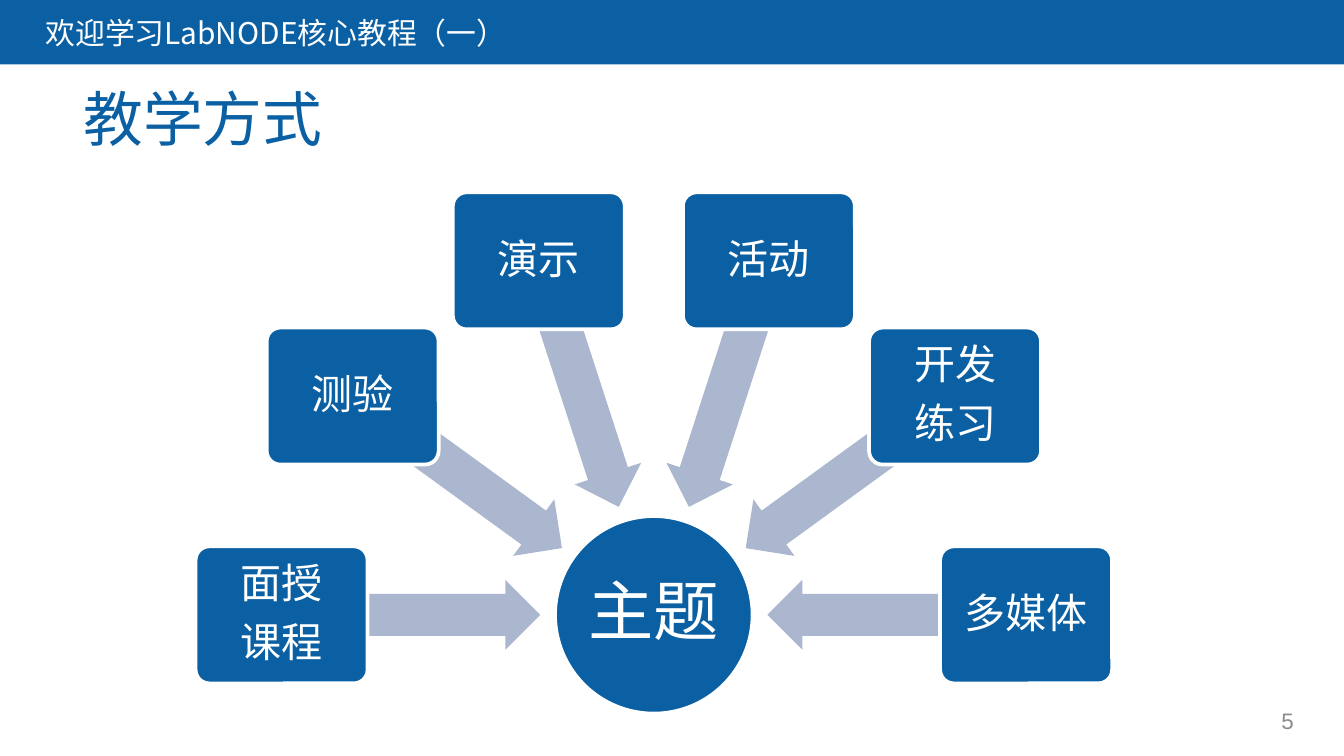
from math import cos, radians, sin

from lxml.etree import SubElement
from pptx import Presentation
from pptx.dml.color import RGBColor
from pptx.enum.shapes import MSO_SHAPE
from pptx.enum.text import MSO_ANCHOR, MSO_AUTO_SIZE, PP_ALIGN
from pptx.oxml.ns import qn
from pptx.util import Pt

BLUE = RGBColor(0x0A, 0x60, 0xA3)
PALE = RGBColor(0xAB, 0xB7, 0xCE)
GREY = RGBColor(0x8C, 0x8C, 0x8C)
WHITE = RGBColor(0xFF, 0xFF, 0xFF)
SANS = "Noto Sans CJK SC"
LATIN = "Arial"
SCALE = 4572
HUB = (973, 915)
STEP = 36
TOPICS = ["面授\n课程", "测验", "演示", "活动", "开发\n练习", "多媒体"]


def px(count):
    return round(count * SCALE)


def style(para, size, color, face=LATIN):
    for run in para.runs:
        run.font.size = Pt(size)
        run.font.color.rgb = color
        run.font.name = face
        SubElement(run.font._element, qn("a:ea"), typeface=SANS)


def inset(frame, side, top):
    frame.margin_left = frame.margin_right = px(side)
    frame.margin_top = frame.margin_bottom = px(top)


def pad_after(para, percent):
    para.space_after = Pt(0)
    after = para._p.get_or_add_pPr().find(qn("a:spcAft"))
    after.remove(after[0])
    SubElement(after, qn("a:spcPct"), val=str(percent * 1000))


def polar(radius, angle):
    turn = radians(angle)
    return HUB[0] + radius * cos(turn), HUB[1] + radius * sin(turn)


def add_form(shapes, kind, mid, size, fill, edge=False):
    (x, y), (wide, high) = mid, size
    form = shapes.add_shape(
        kind, px(x - wide / 2), px(y - high / 2), px(wide), px(high))
    form.shadow.inherit = False
    form.fill.solid()
    form.fill.fore_color.rgb = fill
    if edge:
        form.line.color.rgb = WHITE
        form.line.width = Pt(2)
    else:
        form.line.fill.background()
    return form


def add_node(shapes, kind, mid, size, text, points, gap):
    node = add_form(shapes, kind, mid, size, BLUE, True)
    frame = node.text_frame
    frame.word_wrap = True
    frame.vertical_anchor = MSO_ANCHOR.MIDDLE
    inset(frame, gap, gap)
    frame.text = text
    for para in frame.paragraphs:
        para.alignment = PP_ALIGN.CENTER
        para.line_spacing = 0.9
        pad_after(para, 35)
        style(para, points, WHITE)
    return node


def add_arrow(shapes, angle):
    arrow = add_form(
        shapes, MSO_SHAPE.LEFT_ARROW, polar(361, angle), (384, 104), PALE)
    arrow.adjustments[0] = 0.6
    arrow.adjustments[1] = 0.5
    arrow.rotation = angle % 360


def add_wheel(slide):
    shapes = slide.shapes.add_group_shape().shapes
    add_node(shapes, MSO_SHAPE.OVAL, HUB, (294, 294), "主题", 35, 4)
    for place, topic in enumerate(TOPICS):
        angle = 180 + STEP * place
        add_arrow(shapes, angle)
        box = add_node(shapes, MSO_SHAPE.ROUNDED_RECTANGLE,
                       polar(554, angle), (256, 204), topic, 22, 10)
        box.adjustments[0] = 0.1


def set_title(slide, text):
    title = slide.shapes.title
    title.left, title.top = px(104), px(112)
    title.width, title.height = px(1716), px(262)
    frame = title.text_frame
    frame.text = text
    frame.auto_size = MSO_AUTO_SIZE.NONE
    frame.vertical_anchor = MSO_ANCHOR.TOP
    inset(frame, 20, 10)
    para = frame.paragraphs[0]
    para.alignment = PP_ALIGN.LEFT
    para.space_before = Pt(5.7)
    style(para, 32, BLUE, SANS)


def add_label(slide, area, text, size, color, face):
    box = slide.shapes.add_textbox(*map(px, area))
    frame = box.text_frame
    frame.word_wrap = True
    inset(frame, 20, 10)
    frame.text = text
    style(frame.paragraphs[0], size, color, face)
    return frame


def main():
    deck = Presentation()
    deck.slide_width, deck.slide_height = px(2000), px(1125)
    slide = deck.slides.add_slide(deck.slide_layouts[5])
    add_form(slide.shapes, MSO_SHAPE.RECTANGLE, (1000, 48), (2000, 96), BLUE)
    set_title(slide, "教学方式")
    course = add_label(slide, (48, 12, 1436, 70),
                       "欢迎学习LabNODE核心教程（一）", 16, WHITE, SANS)
    course.paragraphs[0].space_before = Pt(5.7)
    add_wheel(slide)
    number = add_label(slide, (1866, 1043, 100, 60), "5", 12, GREY, LATIN)
    number.vertical_anchor = MSO_ANCHOR.MIDDLE
    number.paragraphs[0].alignment = PP_ALIGN.CENTER
    deck.save("out.pptx")


if __name__ == "__main__":
    main()
